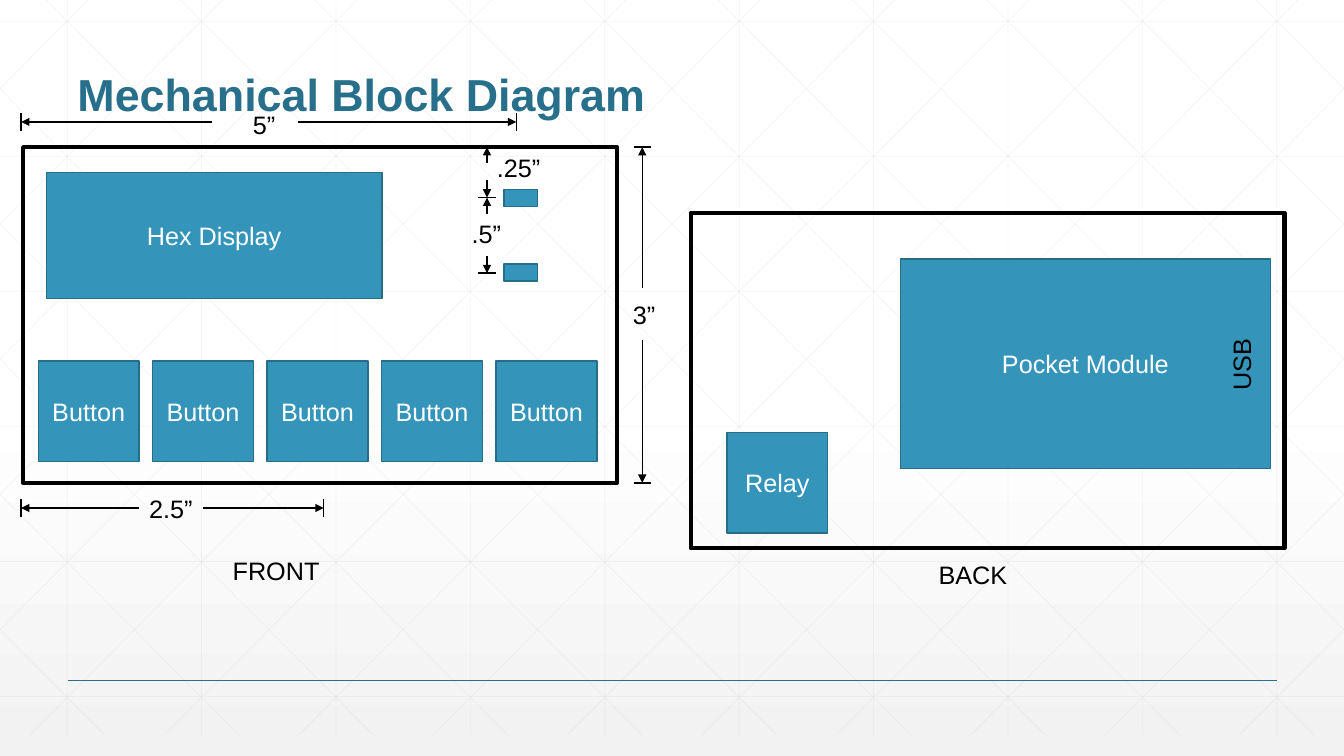
from lxml import etree
from pptx import Presentation
from pptx.dml import color
from pptx.enum import shapes, text
from pptx.oxml import ns
from pptx.util import Inches, Pt

COLORS = {
    "paper": "FFFFFF",
    "shade": "F2F2F2",
    "grid": "D9D9D9",
    "title": "276F8B",
    "part": "3494BA",
    "edge": "266D8A",
    "ink": "000000",
    "white": "FFFFFF",
}
WIDTH, HEIGHT = 13.33, 7.5
GRID_TOP, GRID_BOTTOM = -0.21, 7.29
TICK = 0.17


def rgb(name):
    """Return the named palette colour."""
    return color.RGBColor.from_string(COLORS[name])


def add_line(s, start, end, tint="ink", width=1, alpha=None, arrow=False):
    """Draw a straight line, optionally translucent or with an arrowhead at its start."""
    c = s.shapes.add_connector(
        shapes.MSO_CONNECTOR.STRAIGHT, *[Inches(v) for v in (*start, *end)])
    c.line.color.rgb = rgb(tint)
    c.line.width = Pt(width)
    spPr = c.element.spPr
    ln = spPr.find(ns.qn("a:ln"))
    if alpha:
        clr = ln.find(".//" + ns.qn("a:srgbClr"))
        etree.SubElement(clr, ns.qn("a:alpha"), val=str(alpha * 1000))
    if arrow:
        etree.SubElement(ln, ns.qn("a:headEnd"), type="triangle")
    etree.SubElement(spPr, ns.qn("a:effectLst"))


def style_text(tf, words, tint, size=18, bold=False):
    """Fill a text frame with one formatted paragraph."""
    tf.text = words
    p = tf.paragraphs[0]
    p.font.name = "Arial"
    p.font.size = Pt(size)
    p.font.bold = bold
    p.font.color.rgb = rgb(tint)
    return p


def add_label(s, x, y, w, words, rotation=0):
    """Place a one-line black caption."""
    sp = s.shapes.add_textbox(Inches(x), Inches(y), Inches(w), Inches(0.4))
    sp.rotation = rotation
    sp.text_frame.word_wrap = False
    style_text(sp.text_frame, words, "ink")


def add_part(s, x, y, w, h, words=""):
    """Place a filled block for one component."""
    sp = s.shapes.add_shape(
        shapes.MSO_SHAPE.RECTANGLE, *[Inches(v) for v in (x, y, w, h)])
    sp.shadow.inherit = False
    sp.fill.solid()
    sp.fill.fore_color.rgb = rgb("part")
    sp.line.color.rgb = rgb("edge")
    sp.line.width = Pt(1)
    if words:
        tf = sp.text_frame
        tf.vertical_anchor = text.MSO_ANCHOR.MIDDLE
        style_text(tf, words, "white").alignment = text.PP_ALIGN.CENTER


def add_case(s, x, y, w, h):
    """Outline one side of the enclosure."""
    sp = s.shapes.add_shape(
        shapes.MSO_SHAPE.RECTANGLE, *[Inches(v) for v in (x, y, w, h)])
    sp.shadow.inherit = False
    sp.fill.background()
    sp.line.color.rgb = rgb("ink")
    sp.line.width = Pt(3)


def add_dimension(s, across, first, gap_start, gap_end, last, vertical=False, ticks=True):
    """Draw a dimension line broken by a gap, with arrows and ticks at both ends."""
    def point(along, offset=0):
        return (across + offset, along) if vertical else (along, across + offset)

    for outer, inner in ((first, gap_start), (last, gap_end)):
        add_line(s, point(outer), point(inner), arrow=True)
        if ticks:
            add_line(s, point(outer, -TICK / 2), point(outer, TICK / 2))


def add_background(s):
    """Paint the gradient and the faint grid with its diagonals."""
    fill = s.background.fill
    fill.gradient()
    fill.gradient_angle = 270
    for stop, position, name in zip(fill.gradient_stops, (0.53, 1), ("paper", "shade")):
        stop.position = position
        stop.color.rgb = rgb(name)

    step = WIDTH / 10
    lines = [((x, GRID_TOP), (x, GRID_BOTTOM))
             for x in (step * (i + 0.5) for i in range(10))]
    lines += [((0, y), (WIDTH, y)) for y in (0.21 + 1.34 * i for i in range(6))]
    run = 7.45
    slope = (GRID_BOTTOM - GRID_TOP) / run
    for i in range(-5, 10):
        x = 0.25 + step * i
        ends = [(e, GRID_TOP + (e - x) * slope)
                for e in (max(x, 0), min(x + run, WIDTH))]
        lines += [ends, [(WIDTH - e, y) for e, y in ends]]
    for start, end in lines:
        add_line(s, start, end, "grid", 0.5, alpha=25)
    add_line(s, (0.67, 6.75), (12.67, 6.75), "title")


def add_title(s, x, y, w, h):
    """Write the slide title at the bottom of its box."""
    sp = s.shapes.add_textbox(*[Inches(v) for v in (x, y, w, h)])
    tf = sp.text_frame
    tf.word_wrap = True
    tf.vertical_anchor = text.MSO_ANCHOR.BOTTOM
    style_text(tf, "Mechanical Block Diagram", "title", 32, True).line_spacing = 0.9


def add_front(s, x, y, w, h):
    """Draw the front panel with its parts and dimensions."""
    add_case(s, x, y, w, h)
    add_part(s, x + 0.23, y + 0.25, 3.33, 1.25, "Hex Display")
    for top in (0.42, 1.16):
        add_part(s, x + 4.77, y + top, 0.33, 0.17)
    pitch = 4.54 / 4
    for i in range(5):
        add_part(s, x + 0.15 + pitch * i, y + 2.12, 1, 1, "Button")

    left = x - 0.02
    add_dimension(s, y - 0.25, left, x + 1.87, x + 2.73, x + 4.89)
    add_dimension(s, y + 3.58, left, x + 1.15, x + 1.78, x + 2.98)
    add_dimension(s, x + w + 0.25, y, y + 1.4, y + 1.91, y + h, vertical=True)
    add_dimension(s, x + 4.6, y, y + 0.16, y + 0.33, y + 0.5, vertical=True, ticks=False)
    add_dimension(s, x + 4.6, y + 0.5, y + 0.66, y + 1.08, y + 1.25, vertical=True)
    for dx, dy, width, words in (
            (2.18, -0.42, 0.43, "5”"), (5.95, 1.46, 0.43, "3”"),
            (4.6, 0, 0.64, ".25”"), (4.35, 0.66, 0.5, ".5”"),
            (1.15, 3.38, 0.64, "2.5”"), (1.98, 4, 1.07, "FRONT")):
        add_label(s, x + dx, y + dy, width, words)


def add_back(s, x, y, w, h):
    """Draw the back panel with its parts."""
    add_part(s, x + 2.08, y + 0.46, 3.67, 2.08, "Pocket Module")
    add_label(s, x + 5.1, y + 1.3, 0.72, "USB", rotation=270)
    add_part(s, x + 0.36, y + 2.18, 1, 1, "Relay")
    add_case(s, x, y, w, h)
    add_label(s, x + 2.36, y + 3.39, 0.89, "BACK")


def main():
    """Build the slide and save it."""
    prs = Presentation()
    prs.slide_width, prs.slide_height = Inches(WIDTH), Inches(HEIGHT)
    s = prs.slides.add_slide(prs.slide_layouts[6])
    add_background(s)
    add_title(s, 0.67, 0.25, 12, 1)
    add_front(s, 0.23, 1.46, 5.89, 3.33)
    add_back(s, 6.85, 2.11, 5.89, 3.33)
    prs.save("out.pptx")


if __name__ == "__main__":
    main()
